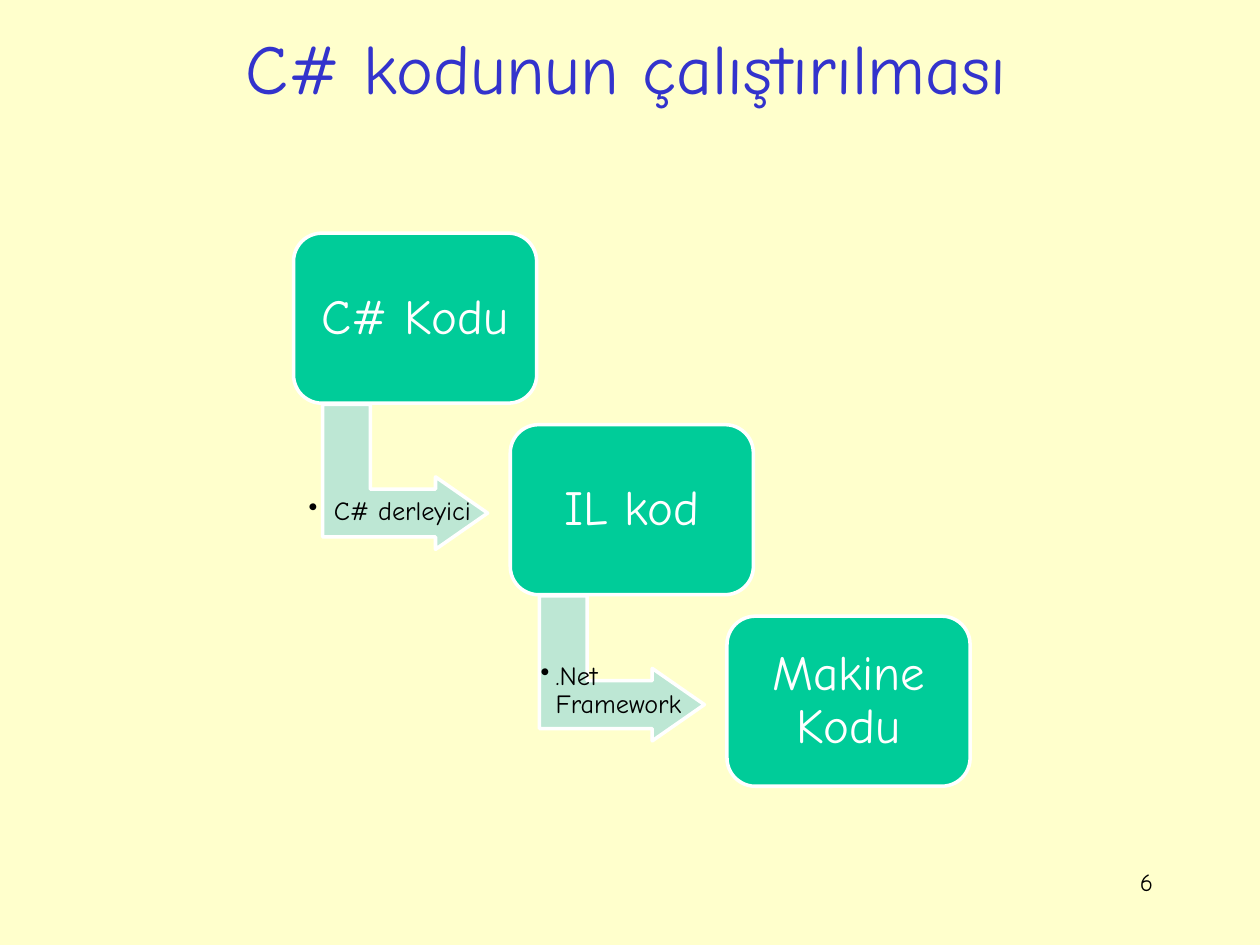
from pptx import Presentation
from pptx.dml.color import RGBColor as RGB
from pptx.enum.shapes import MSO_SHAPE as Kind
from pptx.enum.text import MSO_ANCHOR as Anchor, PP_ALIGN as Align
from pptx.util import Inches, Pt
from lxml.etree import SubElement

HUES = {"back": "FFFFCC", "title": "3333CC", "box": "00CC99",
        "arrow": "BDE7D4", "white": "FFFFFF", "black": "000000"}


class Deck:
    """Holds the style and the current slide."""

    font = "Comic Neue"

    def __init__(self):
        self.prs = Presentation()
        self.prs.slide_width, self.prs.slide_height = Inches(10), Inches(7.5)
        self.slide = self.prs.slides.add_slide(self.prs.slide_layouts[5])
        fill = self.slide.background.fill
        fill.solid()
        fill.fore_color.rgb = self.hue("back")

    def hue(self, name):
        return RGB.from_string(HUES[name])

    def style(self, shape, text, size, hue, align, pad=None, anchor=Anchor.MIDDLE):
        frame = shape.text_frame
        frame.text = text
        frame.word_wrap = True
        frame.vertical_anchor = anchor
        if pad is not None:
            frame.margin_left = frame.margin_right = Inches(pad)
            frame.margin_top = frame.margin_bottom = Inches(pad)
        para = frame.paragraphs[0]
        para.alignment = align
        font = para.runs[0].font
        font.name, font.size = self.font, Pt(size)
        font.color.rgb = self.hue(hue)
        return para

    def title(self, text, x, y, w, h):
        shape = self.slide.shapes.title
        shape.left, shape.top = Inches(x), Inches(y)
        shape.width, shape.height = Inches(w), Inches(h)
        self.style(shape, text, 40, "title", Align.CENTER)

    def shape(self, kind, x, y, w, h, hue, adj):
        shape = self.slide.shapes.add_shape(
            kind, Inches(x), Inches(y), Inches(w), Inches(h))
        shape.shadow.inherit = False
        shape.fill.solid()
        shape.fill.fore_color.rgb = self.hue(hue)
        shape.line.color.rgb = self.hue("white")
        shape.line.width = Pt(2)
        for i, part in enumerate(adj):
            shape.adjustments[i] = part
        return shape

    def box(self, text, x, y):
        shape = self.shape(Kind.ROUNDED_RECTANGLE, x, y, 1.93, 1.35, "box", [1 / 6])
        self.style(shape, text, 28, "white", Align.CENTER, 0.12).line_spacing = 0.9

    def arrow(self, x, y):
        shape = self.shape(Kind.BENT_UP_ARROW, x, y, 1.15, 1.31, "arrow",
                           [0.33, 0.25, 0.36])
        shape.rotation = 90

    def text(self, text, x, y, w, h, size, align, pad=None, anchor=Anchor.TOP):
        shape = self.slide.shapes.add_textbox(
            Inches(x), Inches(y), Inches(w), Inches(h))
        return self.style(shape, text, size, "black", align, pad, anchor)

    def label(self, text, x, y, w, dent):
        para = self.text(text, x, y, w, 1.09, 15, Align.LEFT, 0.08, Anchor.MIDDLE)
        para.line_spacing = 0.9
        props = para._p.get_or_add_pPr()
        props.set("marL", str(Inches(dent)))
        props.set("indent", str(-Inches(dent)))
        space = "{http://schemas.openxmlformats.org/drawingml/2006/main}"
        SubElement(props, space + "buChar", char="•")


deck = Deck()
deck.title("C# kodunun çalıştırılması", 0.72, 0.15, 8.5, 0.76)
steps = [("C# Kodu", ("C# derleyici", 2.37, 3.52, 1.89, 0.2)),
         ("IL kod", (".Net Framework", 4.21, 4.94, 1.41, 0.12)),
         ("Makine Kodu", None)]
for i, (name, note) in enumerate(steps):
    x, y = 2.33 + 1.72 * i, 1.85 + 1.52 * i
    if note:
        deck.arrow(x + 0.31, y + 1.28)
    deck.box(name, x, y)
    if note:
        deck.label(*note)
deck.text("6", 7.17, 6.83, 2.08, 0.5, 14, Align.RIGHT)
deck.prs.save("out.pptx")
